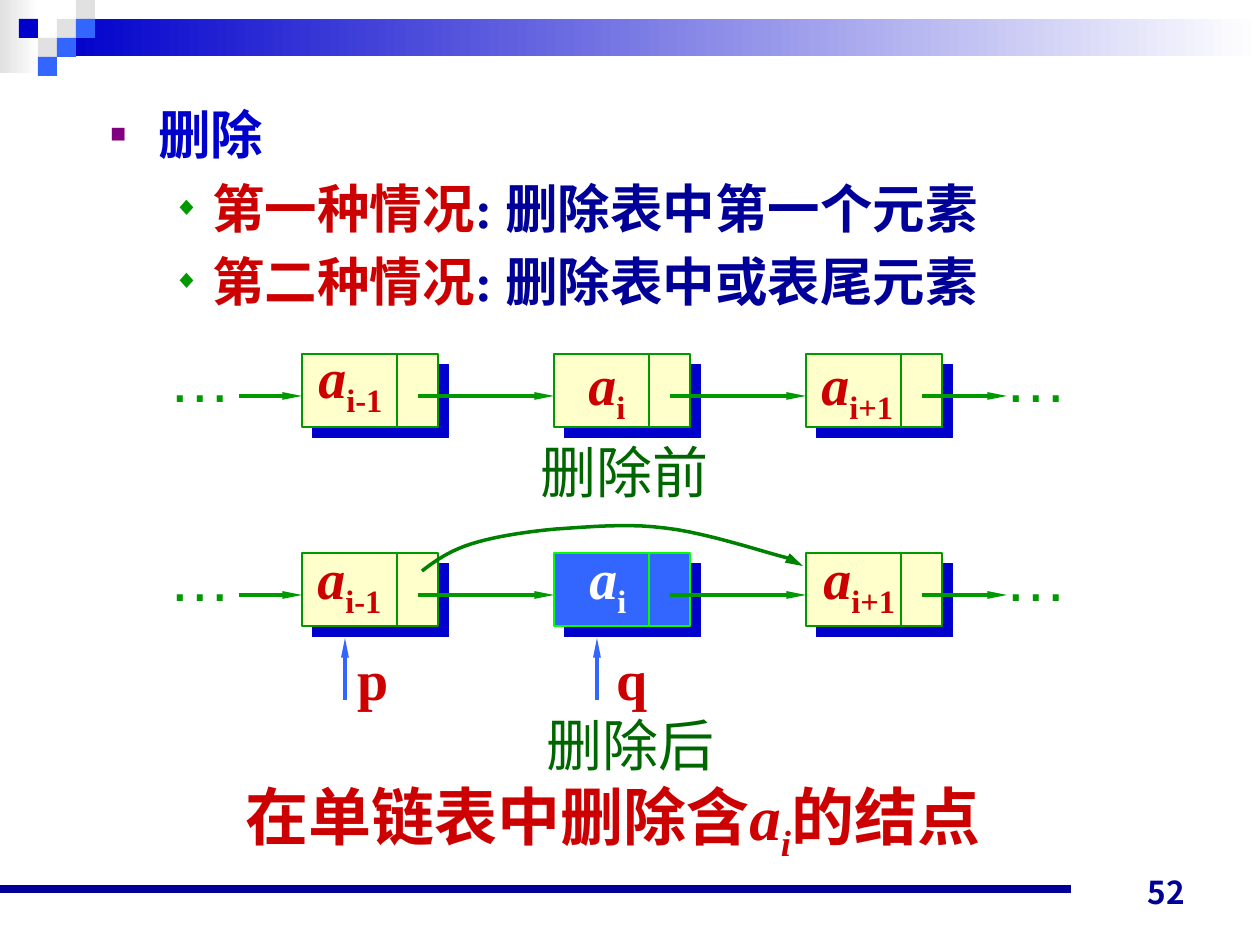
from dataclasses import dataclass

from lxml import etree
from pptx import Presentation
from pptx.dml.color import RGBColor
from pptx.enum.shapes import MSO_CONNECTOR, MSO_SHAPE
from pptx.enum.text import MSO_ANCHOR, MSO_AUTO_SIZE, PP_ALIGN
from pptx.oxml.ns import qn
from pptx.util import Emu, Pt

STRAIGHT, RECTANGLE = MSO_CONNECTOR.STRAIGHT, MSO_SHAPE.RECTANGLE
BOTTOM, RIGHT = MSO_ANCHOR.BOTTOM, PP_ALIGN.RIGHT
FIT_SHAPE = MSO_AUTO_SIZE.SHAPE_TO_FIT_TEXT

WHITE = RGBColor(0xFF, 0xFF, 0xFF)
GREY = RGBColor(0xE1, 0xE1, 0xE1)
BLUE = RGBColor(0x00, 0x00, 0xCC)
SKY = RGBColor(0x33, 0x66, 0xFF)
NAVY = RGBColor(0x00, 0x00, 0x99)
RED = RGBColor(0xCC, 0x00, 0x00)
CREAM = RGBColor(0xFF, 0xFF, 0xCC)
PURPLE = RGBColor(0x80, 0x00, 0x80)
GREEN = RGBColor(0x00, 0x99, 0x00)
LIME = RGBColor(0x00, 0xFF, 0x00)
CURVE_GREEN = RGBColor(0x00, 0x80, 0x00)
DARK_GREEN = RGBColor(0x00, 0x66, 0x00)

SERIF, SANS, CJK = "Times New Roman", "Arial", "Noto Sans CJK JP"


@dataclass
class TextRun:
    text: str
    size: int
    color: RGBColor
    bold: bool = True
    italic: bool = False
    subscript: bool = False
    font: str = SERIF


@dataclass
class Box:
    left: int
    top: int
    width: int
    height: int


@dataclass
class Node:
    index: str
    label_left: int
    label_top: int
    label_width: int
    fill: RGBColor = CREAM
    line: RGBColor = GREEN
    ink: RGBColor = RED


@dataclass
class BodyLine:
    runs: list[TextRun]
    bullet: str
    bullet_color: RGBColor
    indent: int
    hanging: int


def px(length: float) -> Emu:
    return Emu(round(length * 914400 / 126))


def child(parent, tag: str, **attributes: str):
    return etree.SubElement(parent, qn(tag), **attributes)


def add_run(paragraph, item: TextRun) -> None:
    run = paragraph.add_run()
    run.text = item.text
    font = run.font
    font.size, font.bold, font.italic = Pt(item.size), item.bold, item.italic
    font.color.rgb, font.name = item.color, item.font
    if item.subscript:
        run._r.get_or_add_rPr().set("baseline", "-25000")
    if any(letter >= "一" for letter in item.text):
        child(run._r.get_or_add_rPr(), "a:ea", typeface=CJK)


def add_text(slide, box: Box, runs: list[TextRun], wrap: bool = False, line_height: int = 0):
    frame = slide.shapes.add_textbox(px(box.left), px(box.top), px(box.width), px(box.height)).text_frame
    frame.word_wrap = wrap
    if not wrap:
        frame.auto_size = FIT_SHAPE
    paragraph = frame.paragraphs[0]
    if line_height:
        paragraph.line_spacing = Pt(line_height)
    for item in runs:
        add_run(paragraph, item)
    return frame


def add_rect(slide, box: Box, fill: RGBColor, fade: bool = False):
    rect = slide.shapes.add_shape(RECTANGLE, px(box.left), px(box.top), px(box.width), px(box.height))
    rect.shadow.inherit = False
    rect.line.fill.background()
    if fade:
        rect.fill.gradient()
        rect.fill.gradient_angle = 0
        for stop, color in zip(rect.fill.gradient_stops, (fill, WHITE)):
            stop.color.rgb = color
    else:
        rect.fill.solid()
        rect.fill.fore_color.rgb = fill
    return rect


def add_arrowhead(line, width: str) -> None:
    child(line._get_or_add_ln(), "a:tailEnd", type="triangle", w=width, len="lg")


def add_line(slide, start: tuple[int, int], end: tuple[int, int], color: RGBColor,
             weight: float, arrow: bool = False) -> None:
    line = slide.shapes.add_connector(STRAIGHT, *map(px, start + end))
    line.line.color.rgb, line.line.width = color, Pt(weight)
    if arrow:
        add_arrowhead(line.line, "sm")
    child(line._element.spPr, "a:effectLst")


def add_node(slide, box: Box, node: Node) -> None:
    rect = add_rect(slide, box, node.fill)
    rect.line.color.rgb, rect.line.width = node.line, Pt(0.75)
    effects = rect._element.spPr.find(qn("a:effectLst"))
    shadow = child(effects, "a:outerShdw", dist=str(Pt(8.5)), dir="2700000", algn="ctr", rotWithShape="0")
    child(shadow, "a:srgbClr", val=str(BLUE))
    divider = box.left + 95
    add_line(slide, (divider, box.top), (divider, box.top + box.height), node.line, 1.5)


def add_chain(slide, top: int, nodes: list[Node]) -> None:
    lefts = [302 + 252 * i for i in range(len(nodes))]
    middle = top + 42
    add_line(slide, (239, middle), (lefts[0], middle), GREEN, 2.25, arrow=True)
    for left, target, node in zip(lefts, lefts[1:] + [1007], nodes):
        add_node(slide, Box(left, top, 136, 73), node)
        add_line(slide, (left + 116, middle), (target, middle), GREEN, 2.25, arrow=True)
    for left in (156, 992):
        add_text(slide, Box(left, top - 21, 88, 88), [TextRun("…", 36, GREEN, bold=False, font=SANS)])
    for node in nodes:
        add_text(slide, Box(node.label_left, node.label_top, node.label_width, 89),
                 [TextRun("a", 32, node.ink, italic=True), TextRun(node.index, 32, node.ink, subscript=True)])


def add_bypass(slide) -> None:
    start = (422, 571)
    segments = [((435, 561), (449, 551), (471, 544)), ((493, 537), (523, 532), (556, 529)),
                ((588, 527), (627, 523), (665, 528)), ((703, 532), (761, 551), (784, 557)),
                ((795, 560), (799, 563), (803, 566))]
    points, origin, steps = [], start, 10
    for control_a, control_b, end in segments:
        for t in (step / steps for step in range(1, steps + 1)):
            u = 1 - t
            points.append(tuple(px(u**3 * p + 3 * u * u * t * a + 3 * u * t * t * b + t**3 * q)
                                for p, a, b, q in zip(origin, control_a, control_b, end)))
        origin = end
    builder = slide.shapes.build_freeform(px(start[0]), px(start[1]))
    builder.add_line_segments(points, close=False)
    curve = builder.convert_to_shape()
    curve.shadow.inherit = False
    curve.fill.background()
    curve.line.color.rgb, curve.line.width = CURVE_GREEN, Pt(2)
    add_arrowhead(curve.line, "med")


def add_body(slide, box: Box, lines: list[BodyLine]) -> None:
    frame = add_text(slide, box, [], wrap=True)
    for number, line in enumerate(lines):
        paragraph = frame.add_paragraph() if number else frame.paragraphs[0]
        properties = paragraph._p.get_or_add_pPr()
        properties.set("marL", str(px(line.indent)))
        properties.set("indent", str(-px(line.hanging)))
        child(child(properties, "a:buClr"), "a:srgbClr", val=str(line.bullet_color))
        child(properties, "a:buSzPct", val="50000")
        child(properties, "a:buFont", typeface=SANS)
        child(properties, "a:buChar", char=line.bullet)
        paragraph.line_spacing = Pt(39)
        if number:
            paragraph.space_before = Pt(3)
        for item in line.runs:
            add_run(paragraph, item)


def main() -> None:
    deck = Presentation()
    deck.slide_width, deck.slide_height = px(1260), px(945)
    slide = deck.slides.add_slide(deck.slide_layouts[6])

    # Header bands and mosaic
    add_rect(slide, Box(0, 0, 39, 73), GREY, fade=True)
    add_rect(slide, Box(57, 19, 1203, 37), BLUE, fade=True)
    cell = 19
    for column, row, color in [(3, 1, GREY), (4, 0, GREY), (4, 1, SKY), (2, 2, GREY),
                               (1, 1, BLUE), (3, 2, SKY), (2, 3, SKY)]:
        add_rect(slide, Box(column * cell, row * cell, cell, cell), color)

    # Footer
    add_line(slide, (0, 889), (1071, 889), NAVY, 4.5)
    footer = add_text(slide, Box(903, 854, 294, 63), [TextRun("52", 18, NAVY, font=CJK)], wrap=True)
    footer.vertical_anchor, footer.paragraphs[0].alignment = BOTTOM, RIGHT

    # Cases of deletion
    cases = [("第一种情况", ": 删除表中第一个元素"), ("第二种情况", ": 删除表中或表尾元素")]
    add_body(slide, Box(98, 91, 1124, 262),
             [BodyLine([TextRun("删除", 30, BLUE)], "■", PURPLE, 48, 48)]
             + [BodyLine([TextRun(case, 30, RED), TextRun(detail, 30, NAVY)], "◆", GREEN, 102, 39)
                for case, detail in cases])

    # Lists before and after deletion
    add_chain(slide, 354, [Node("i-1", 306, 336, 89), Node("i", 576, 343, 62), Node("i+1", 809, 343, 97)])
    add_chain(slide, 553, [Node("i-1", 305, 537, 89), Node("i", 577, 537, 62, SKY, LIME, WHITE),
                           Node("i+1", 811, 537, 97)])
    add_bypass(slide)

    # Pointers
    for pointer, arrow_x, label_left in [("p", 345, 345), ("q", 597, 604)]:
        add_line(slide, (arrow_x, 700), (arrow_x, 638), SKY, 2.25, arrow=True)
        add_text(slide, Box(label_left, 638, 57, 81), [TextRun(pointer, 32, RED)])

    # Captions
    for caption, left, top in [("删除前", 528, 427), ("删除后", 534, 700)]:
        add_text(slide, Box(left, top, 193, 81), [TextRun(caption, 32, DARK_GREEN, bold=False)], line_height=41)
    add_text(slide, Box(233, 768, 798, 102),
             [TextRun("在单链表中删除含", 36, RED), TextRun("a", 36, RED, italic=True),
              TextRun("i", 36, RED, italic=True, subscript=True), TextRun("的结点", 36, RED)],
             wrap=True, line_height=51)

    deck.save("out.pptx")


if __name__ == "__main__":
    main()
